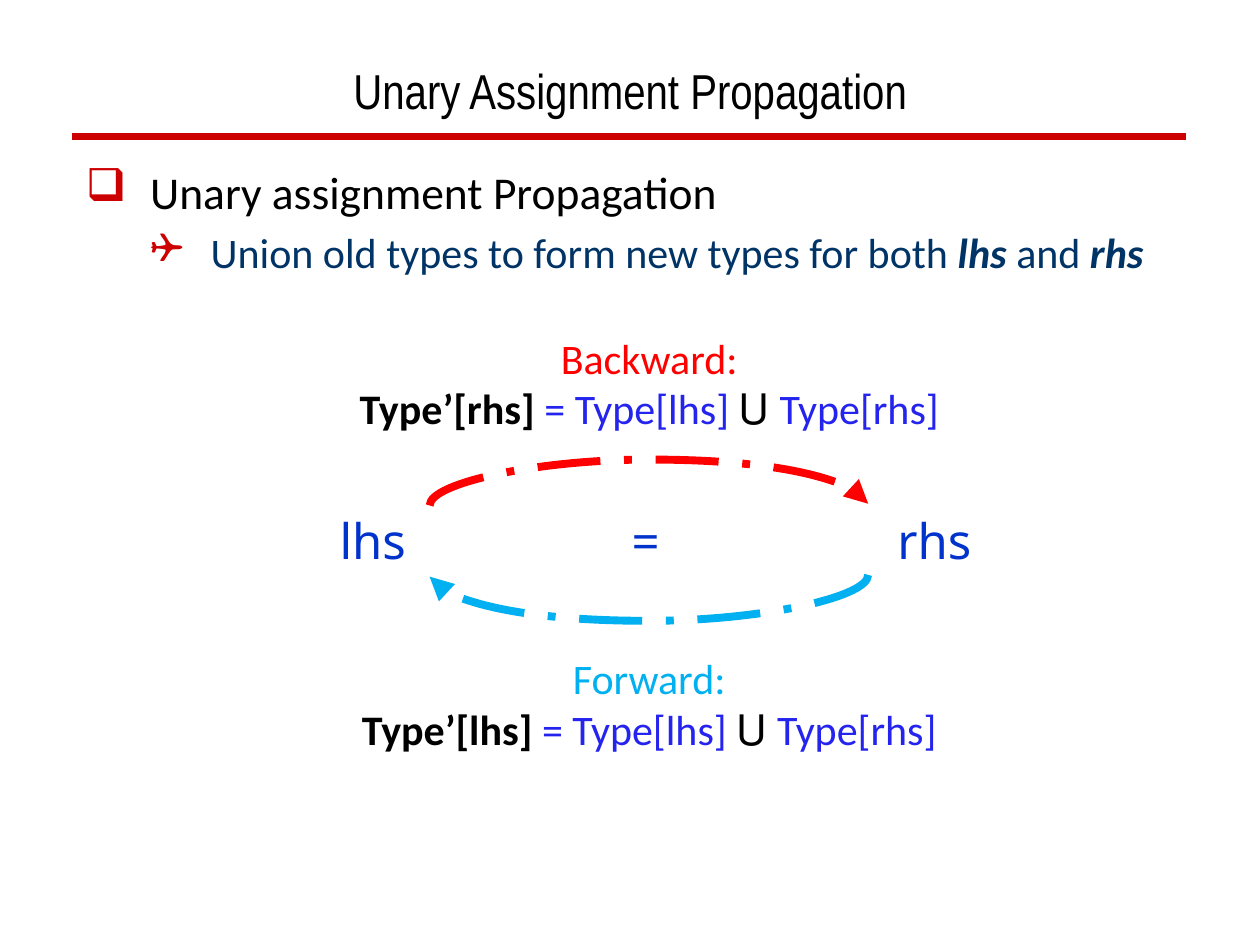
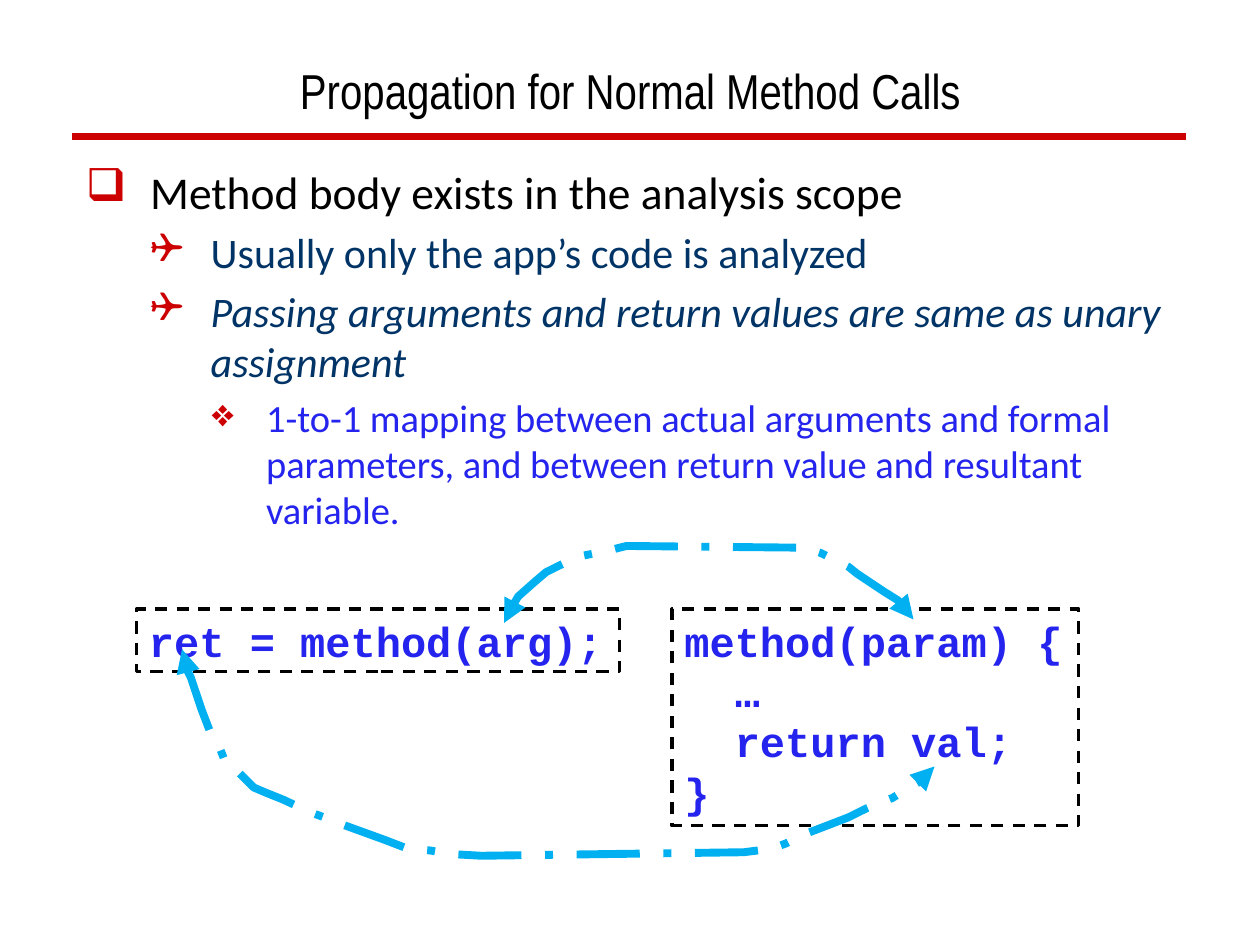
"""Build two slides on type propagation for assignments and method calls."""
from pptx import Presentation
from pptx.dml.color import RGBColor
from pptx.enum.dml import MSO_LINE as DASH
from pptx.enum.shapes import MSO_CONNECTOR as CONN, MSO_SHAPE as SHAPE
from pptx.enum.text import MSO_ANCHOR as ANCHOR, PP_ALIGN as ALIGN
from pptx.oxml.ns import qn
from pptx.oxml.xmlchemy import OxmlElement
from pptx.util import Pt

COLORS = {
    "black": "000000", "rule": "CC0000", "navy": "003366", "violet": "2424EE",
    "blue": "0033CC", "red": "FF0000", "sky": "00B0F0",
}
LEVELS = [
    ("\u2751", 26, "black", 36.72, 36.72),
    ("\u2708", 24, "navy", 71.28, 34.56),
    ("\u2756", 22, "violet", 102.96, 30.96),
]
PLAIN, BOLD, ITALIC, BOLD_ITALIC = (False, False), (True, False), (False, True), (True, True)


def rgb(name):
    return RGBColor.from_string(COLORS[name])


def child(parent, tag, **attrs):
    element = OxmlElement(tag)
    for key, value in attrs.items():
        element.set(key, str(value))
    parent.append(element)
    return element


class Deck:
    """Hold the shared style and the current slide."""

    def __init__(self):
        self.prs = Presentation()
        self.prs.slide_width, self.prs.slide_height = Pt(720), Pt(540)

    def new_slide(self, title):
        self.slide = self.prs.slides.add_slide(self.prs.slide_layouts[5])
        self.shapes = self.slide.shapes
        sp = self.shapes.title
        sp.left, sp.top, sp.width, sp.height = Pt(42), Pt(12), Pt(636), Pt(60)
        tf = sp.text_frame
        tf.text, tf.vertical_anchor = title, ANCHOR.BOTTOM
        tf.paragraphs[0].alignment = ALIGN.CENTER
        self.font(tf.paragraphs[0].font, 28, "black", "Arial Narrow")
        self.connector(CONN.STRAIGHT, (41, 78), (678, 78), "rule")

    def font(self, font, size, color, name="Calibri", bold=False):
        font.size, font.name, font.bold = Pt(size), name, bold
        font.color.rgb = rgb(color)

    def stroke(self, line, color, width=4.5, dash=None, heads=()):
        line.color.rgb, line.width = rgb(color), Pt(width)
        if dash:
            line.dash_style = dash
        for head in heads:
            child(line._get_or_add_ln(), head, type="triangle")

    def paragraph(self, tf, index):
        return tf.add_paragraph() if index else tf.paragraphs[0]

    def runs(self, p, parts):
        for text, color, (bold, italic) in parts:
            r = p.add_run()
            r.text, r.font.bold, r.font.italic = text, bold, italic
            r.font.color.rgb = rgb(color)

    def textbox(self, left, top, width, height, wrap):
        tf = self.shapes.add_textbox(Pt(left), Pt(top), Pt(width), Pt(height)).text_frame
        tf.word_wrap = wrap
        return tf

    def body(self, height, items):
        tf = self.textbox(42, 90, 636, height, True)
        for i, (level, parts) in enumerate(items):
            mark, size, color, margin, hang = LEVELS[level]
            p = self.paragraph(tf, i)
            p.level, p.space_before = level, Pt(0.2 * size)
            self.font(p.font, size, color)
            self.runs(p, [(text, color, style) for text, style in parts])
            pPr = p._p.get_or_add_pPr()
            pPr.set("marL", str(Pt(margin)))
            pPr.set("indent", str(-Pt(hang)))
            bullet_color = OxmlElement("a:buClr")
            child(bullet_color, "a:srgbClr", val=COLORS["rule"])
            bullet = OxmlElement("a:buChar")
            bullet.set("char", mark)
            default = pPr.find(qn("a:defRPr"))
            default.addprevious(bullet_color)
            default.addprevious(bullet)

    def formula(self, top, heading, color, target):
        tf = self.textbox(192, top, 358, 65.5, False)
        lines = [
            [(heading, color, PLAIN)],
            [(f"Type\u2019[{target}]", "black", BOLD), (" = Type[lhs] ", "violet", PLAIN),
             ("\ua4f4", "black", PLAIN), (" Type[rhs]", "violet", PLAIN)],
        ]
        for i, parts in enumerate(lines):
            p = self.paragraph(tf, i)
            p.alignment = ALIGN.CENTER
            self.font(p.font, 24, parts[0][1])
            self.runs(p, parts)

    def shape(self, kind, left, top, width, height):
        sp = self.shapes.add_shape(kind, Pt(left), Pt(top), Pt(width), Pt(height))
        sp.shadow.inherit = False
        sp.fill.background()
        return sp

    def operand(self, left, width, text):
        sp = self.shape(SHAPE.OVAL, left, 279.5, width, 57.6)
        sp.line.fill.background()
        tf = sp.text_frame
        tf.text, tf.vertical_anchor = text, ANCHOR.MIDDLE
        tf.paragraphs[0].alignment = ALIGN.CENTER
        self.font(tf.paragraphs[0].font, 28, "blue", "Noto Sans")

    def code(self, left, width, height, lines):
        sp = self.shape(SHAPE.RECTANGLE, left, 348, width, height)
        self.stroke(sp.line, "black", 1.75, DASH.DASH)
        tf = sp.text_frame
        tf.word_wrap, tf.vertical_anchor = False, ANCHOR.TOP
        for i, (indent, text) in enumerate(lines):
            p = self.paragraph(tf, i)
            p.text, p.alignment = text, ALIGN.LEFT
            p._p.get_or_add_pPr().set("marL", str(Pt(14.4 * indent)))
            self.font(p.font, 24, "violet", "Courier New", True)

    def connector(self, kind, start, end, color, **style):
        cx = self.shapes.add_connector(kind, *map(Pt, start + end))
        self.stroke(cx.line, color, **style)
        child(cx._element.spPr, "a:effectLst")
        return cx

    def arc(self, start, end, color):
        cx = self.connector(CONN.CURVE, start, end, color,
                            dash=DASH.LONG_DASH_DOT, heads=["a:tailEnd"])
        spPr = cx._element.spPr
        spPr.find(qn("a:xfrm")).set("rot", "5400000")
        geometry = spPr.find(qn("a:prstGeom"))
        guides = geometry.find(qn("a:avLst"))
        if guides is None:
            guides = child(geometry, "a:avLst")
        child(guides, "a:gd", name="adj1", fmla="val 2648400")

    def curve(self, points):
        builder = self.shapes.build_freeform(*points[0], scale=Pt(1))
        builder.add_line_segments(points[1:], close=False)
        sp = builder.convert_to_shape()
        sp.shadow.inherit = False
        sp.fill.background()
        self.stroke(sp.line, "sky", dash=DASH.LONG_DASH_DOT,
                    heads=["a:headEnd", "a:tailEnd"])


deck = Deck()

deck.new_slide("Unary Assignment Propagation")
deck.body(88.5, [
    (0, [("Unary assignment Propagation", PLAIN)]),
    (1, [("Union old types to form new types for both ", PLAIN), ("lhs", BOLD_ITALIC),
         (" and ", PLAIN), ("rhs", BOLD_ITALIC)]),
])
for left, width, text in [(168, 90, "lhs"), (336, 66, "="), (480, 108, "rhs")]:
    deck.operand(left, width, text)
deck.arc((371.3, 413.7), (370.3, 163.1), "red")
deck.arc((370.3, 203.7), (371.3, 454.3), "sky")
deck.formula(186.5, "Backward:", "red", "rhs")
deck.formula(369.5, "Forward:", "sky", "lhs")

deck.new_slide("Propagation for Normal Method Calls")
deck.body(240, [
    (0, [("Method body exists in the analysis scope", PLAIN)]),
    (1, [("Usually only the app\u2019s code is analyzed", PLAIN)]),
    (1, [("Passing arguments and return values are same as unary assignment", ITALIC)]),
    (2, [("1-to-1 mapping between actual arguments and formal parameters, "
          "and between return value and resultant variable.", PLAIN)]),
])
deck.code(78, 276, 36, [(0, "ret = method(arg);")])
deck.code(384, 232.5, 124, [(0, "method(param) {"), (2, "\u2026"), (2, "return val;"), (0, "}")])
deck.curve([
    (288, 355.7), (291.6, 348.5), (295.9, 341.3), (304.6, 332.6), (312.5, 326.9),
    (319.7, 322.6), (331.2, 317.5), (345.6, 314.6), (357.8, 311.8), (460.1, 313.2),
    (469.4, 316.1), (478.8, 321.1), (484.6, 324), (490.3, 328.3), (499, 334.1),
    (504.7, 338.4), (513.4, 343.4), (519.1, 349.9), (522, 354.2),
])
deck.curve([
    (103.7, 370.8), (106.6, 383), (108.7, 387.4), (112.3, 396), (115.2, 404.6),
    (120.2, 417.6), (124.6, 426.2), (128.9, 435.6), (131.8, 437), (139, 444.2),
    (145.4, 450), (151.9, 452.9), (162, 457.2), (177.1, 464.4), (185, 467.3),
    (198, 471.6), (208.8, 475.9), (220.3, 480.2), (232.6, 484.6), (245.5, 486),
    (257, 488.2), (275, 488.9), (424.8, 487.4), (440.6, 484.6), (449.3, 481.7),
    (459.4, 477.4), (472.3, 471.6), (484.6, 467.3), (494.6, 461.5), (509.8, 455.8),
    (518.4, 451.4), (524.9, 447.1), (532.1, 442.8), (534.2, 438.5),
])

deck.prs.save("out.pptx")
